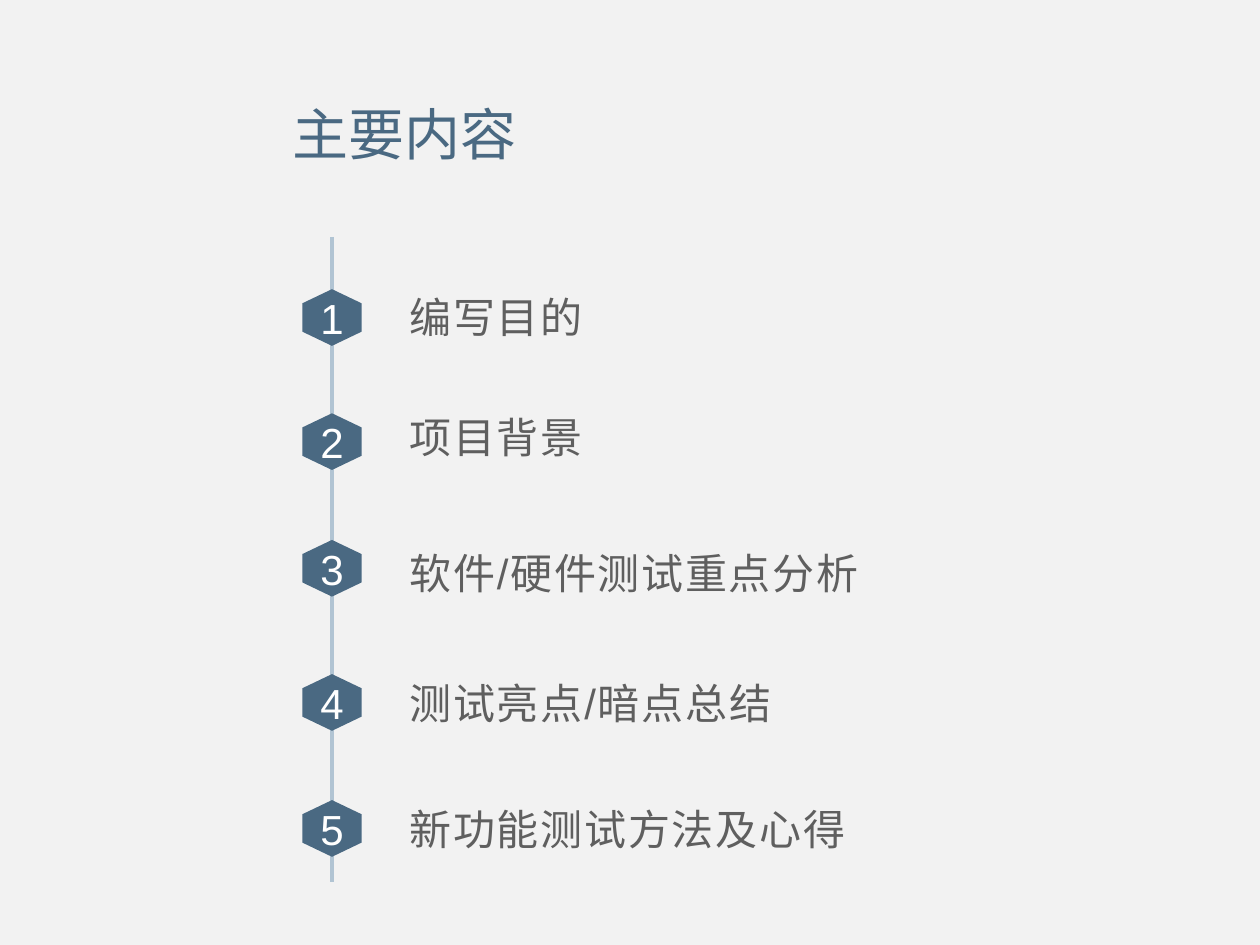
import pptx
import pptx.dml.color
import pptx.enum.text
import pptx.oxml
import pptx.oxml.ns
import pptx.util

COLUMNS, ROWS = 100, 75
ALIGN = pptx.enum.text.PP_ALIGN
STEEL, PALE, GREY = "4A6982", "B1C4D3", "5F5F5F"
AXIS = 26.35


def color(value):
    return pptx.dml.color.RGBColor.from_string(value)


def write(shape, text, size=24, fill=GREY, align=ALIGN.LEFT, spacing=0, left_inset=0.1):
    frame = shape.text_frame
    frame.word_wrap = True
    frame.auto_size = pptx.enum.text.MSO_AUTO_SIZE.NONE
    frame.vertical_anchor = pptx.enum.text.MSO_ANCHOR.MIDDLE
    frame.margin_left = pptx.util.Inches(left_inset)
    paragraph = frame.paragraphs[0]
    paragraph.alignment = align
    run = paragraph.add_run()
    run.text = text
    run.font.name = "Arial"
    run.font.size = pptx.util.Pt(size)
    run.font.color.rgb = color(fill)
    if spacing:
        run.font._element.set("spc", str(spacing * 100))


class AgendaSlide:
    def __init__(self, presentation):
        self.column = presentation.slide_width / COLUMNS
        self.row = presentation.slide_height / ROWS
        self.slide = presentation.slides.add_slide(presentation.slide_layouts[5])
        background = self.slide.background.fill
        background.solid()
        background.fore_color.rgb = color("F2F2F2")

    def point(self, column, row):
        return round(column * self.column), round(row * self.row)

    def title(self, text, column, row, width, height):
        shape = self.slide.shapes.title
        shape.left, shape.top = self.point(column, row)
        shape.width, shape.height = self.point(width, height)
        write(shape, text, size=32, fill=STEEL, align=ALIGN.CENTER)

    def vertical_line(self, column, top, bottom):
        line = self.slide.shapes.add_connector(
            pptx.enum.shapes.MSO_CONNECTOR.STRAIGHT,
            *self.point(column, top), *self.point(column, bottom))
        line.line.color.rgb = color(PALE)
        line.line.width = pptx.util.Pt(2)
        line._element.spPr.append(pptx.oxml.parse_xml(
            f'<a:effectLst {pptx.oxml.ns.nsdecls("a")}/>'))

    def label(self, group, text, column, row, width, height):
        box = group.shapes.add_textbox(
            *self.point(column, row), *self.point(width, height))
        write(box, text, spacing=1, left_inset=0.2)

    def hexagon(self, group, text, center, top, width, height):
        left, right = center - width / 2, center + width / 2
        upper, lower = top + height / 4, top + height * 3 / 4
        corners = [(right, upper), (right, lower), (center, top + height),
                   (left, lower), (left, upper)]
        builder = group.shapes.build_freeform(*self.point(center, top))
        builder.add_line_segments([self.point(*corner) for corner in corners])
        shape = builder.convert_to_shape()
        shape.shadow.inherit = False
        shape.fill.solid()
        shape.fill.fore_color.rgb = color(STEEL)
        shape.line.fill.background()
        write(shape, text, fill="FFFFFF", align=ALIGN.CENTER)

    def item(self, number, text, label_row, hexagon_row, label_width):
        group = self.slide.shapes.add_group_shape()
        self.label(group, text, 30.5, label_row, label_width, 5.3)
        self.hexagon(group, str(number), AXIS, hexagon_row, 4.7, 4.5)


def main():
    presentation = pptx.Presentation()
    presentation.slide_width = pptx.util.Inches(10)
    presentation.slide_height = pptx.util.Inches(7.5)
    agenda = AgendaSlide(presentation)
    agenda.title("主要内容", 18.9, 7, 26.4, 7.2)
    agenda.vertical_line(AXIS, 18.8, 70)
    items = [
        ("编写目的", 22.5, 22.95, 60.2),
        ("项目背景", 32, 32.8, 60.2),
        ("软件/硬件测试重点分析", 42.8, 42.85, 60.8),
        ("测试亮点/暗点总结", 53.1, 53.5, 61.5),
        ("新功能测试方法及心得", 63.1, 63.5, 61.5),
    ]
    for number, item in enumerate(items, 1):
        agenda.item(number, *item)
    presentation.save("out.pptx")


if __name__ == "__main__":
    main()
